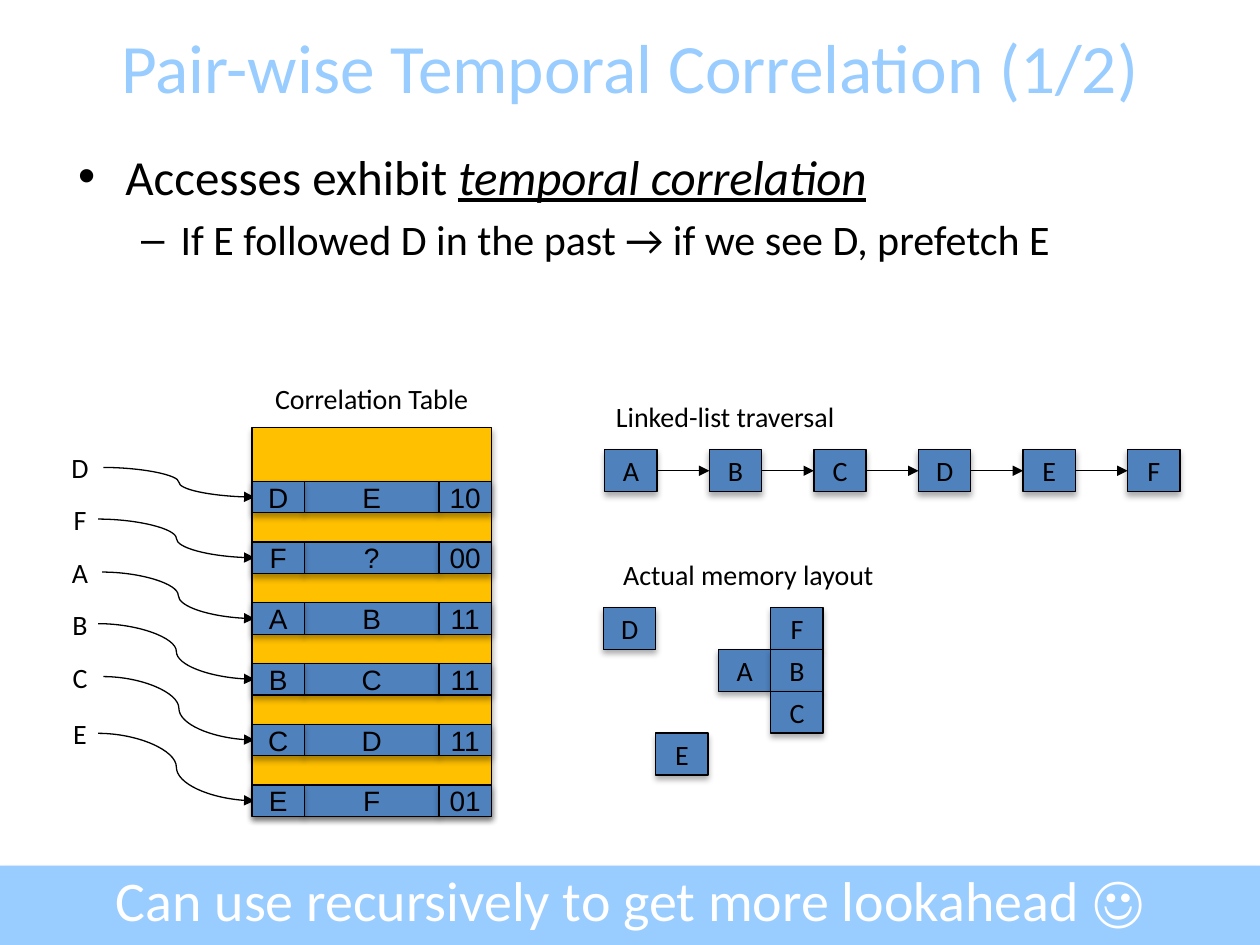
import lxml.etree
import pptx
import pptx.dml.color
import pptx.enum.shapes
import pptx.enum.text
import pptx.oxml
import pptx.oxml.ns
import pptx.util

Inches, Pt = pptx.util.Inches, pptx.util.Pt
RGB = pptx.dml.color.RGBColor.from_string
SHAPE = pptx.enum.shapes.MSO_SHAPE
LINK = pptx.enum.shapes.MSO_CONNECTOR
ANCHOR = pptx.enum.text.MSO_ANCHOR
AUTO = pptx.enum.text.MSO_AUTO_SIZE
ALIGN = pptx.enum.text.PP_ALIGN
qn = pptx.oxml.ns.qn

THEME = {
    "accent": RGB("99CCFF"), "ink": RGB("000000"), "paper": RGB("FFFFFF"),
    "cell": RGB("4F81BD"), "table": RGB("FFC000"), "line": Pt(0.75),
    "title": {"name": "Calibri", "size": Pt(39.6)},
    "point": {"name": "Calibri", "size": Pt(28)},
    "subpoint": {"name": "Calibri", "size": Pt(24)},
    "label": {"name": "Calibri", "size": Pt(16)},
    "entry": {"name": "Arial", "size": Pt(16)},
    "banner": {"name": "Calibri", "size": Pt(32)},
}
SHADOW = ('<a:outerShdw xmlns:a="http://schemas.openxmlformats.org/drawingml/2006/main" '
          'blurRad="44450" dist="27940" dir="5400000" rotWithShape="0">'
          '<a:srgbClr val="000000"><a:alpha val="32000"/></a:srgbClr></a:outerShdw>')

prs = pptx.Presentation()
prs.slide_width, prs.slide_height = Inches(10), Inches(7.5)
s = prs.slides.add_slide(prs.slide_layouts[1])


def put(x, y, w, h, text="", style="label", fill=None, color="ink", align=ALIGN.CENTER, outline=True):
    """Add a filled, shadowed box, or a plain text box when there is no fill."""
    at = [Inches(v) for v in (x, y, w, h)]
    if fill:
        sp = s.shapes.add_shape(SHAPE.RECTANGLE, *at)
        sp.fill.solid()
        sp.fill.fore_color.rgb = THEME[fill]
        if outline:
            sp.line.color.rgb, sp.line.width = THEME["ink"], THEME["line"]
        else:
            sp.line.fill.background()
        sp.shadow.inherit = False
        effects = sp._element.spPr.find(qn("a:effectLst"))
        effects.append(pptx.oxml.parse_xml(SHADOW))
    else:
        sp = s.shapes.add_textbox(*at)
        sp.text_frame.auto_size = AUTO.SHAPE_TO_FIT_TEXT
    if text:
        tf = sp.text_frame
        tf.word_wrap = False
        tf.vertical_anchor = ANCHOR.MIDDLE if fill else ANCHOR.TOP
        p = tf.paragraphs[0]
        p.alignment = align
        r = p.add_run()
        r.text = text
        r.font.color.rgb = THEME[color]
        for key, value in THEME[style].items():
            setattr(r.font, key, value)
    return sp


def arrow(kind, x1, y1, x2, y2):
    c = s.shapes.add_connector(kind, *[Inches(v) for v in (x1, y1, x2, y2)])
    c.line.color.rgb, c.line.width = THEME["ink"], THEME["line"]
    lxml.etree.SubElement(c.line._get_or_add_ln(), qn("a:tailEnd"), type="triangle")
    lxml.etree.SubElement(c._element.spPr, qn("a:effectLst"))
    return c


# Title and list
title, body = s.placeholders[0], s.placeholders[1]
for sp, at in ((title, (0, 0.21, 10, 0.63)), (body, (0.52, 1.11, 9, 5.56))):
    sp.left, sp.top, sp.width, sp.height = [Inches(v) for v in at]
title.text_frame.vertical_anchor = ANCHOR.MIDDLE
title.text_frame.auto_size = body.text_frame.auto_size = AUTO.NONE

paragraphs = [
    (title, 0, "title", "accent", [("Pair-wise Temporal Correlation (1/2)", {})]),
    (body, 0, "point", "ink", [("Accesses exhibit ", {}),
                               ("temporal correlation", {"italic": True, "underline": True})]),
    (body, 1, "subpoint", "ink", [("If E followed D in the past → if we see D, prefetch E", {})]),
]
for sp, level, style, color, runs in paragraphs:
    tf = sp.text_frame
    p = tf.add_paragraph() if level else tf.paragraphs[0]
    p.level = level
    for text, extra in runs:
        r = p.add_run()
        r.text = text
        r.font.color.rgb = THEME[color]
        for key, value in {**THEME[style], **extra}.items():
            setattr(r.font, key, value)

# Banner
put(0, 6.87, 10, 0.63, fill="accent", outline=False)
put(0, 6.82, 10, 0.63, "Can use recursively to get more lookahead ☺", "banner", color="paper")

# Correlation table: each access points at its row of key, successor, counter
COL, TABLE_X, TABLE_W = 0.415, 2, 1.9
ROW_Y, ROW_STEP, ROW_H = 3.82, 0.482, 0.25
put(TABLE_X, 3.39, TABLE_W, 3.08, fill="table")
put(TABLE_X, 2.98, TABLE_W, 0.37, "Correlation Table")
rows = [  # key, successor, counter, label top, arrow start
    ("D", "E", "10", 3.53, 0.82), ("F", "?", "00", 3.94, 0.78),
    ("A", "B", "11", 4.36, 0.81), ("B", "C", "11", 4.77, 0.78),
    ("C", "D", "11", 5.19, 0.82), ("E", "F", "01", 5.64, 0.78),
]
for i, (key, successor, counter, label_y, start) in enumerate(rows):
    y = ROW_Y + i * ROW_STEP
    put(0.46, label_y, 0.35, 0.37, key)
    put(TABLE_X + COL, y, TABLE_W - 2 * COL, ROW_H, successor, "entry", "cell")
    arrow(LINK.CURVE, start, label_y + 0.18, TABLE_X + 0.02, y + ROW_H / 2)
    put(TABLE_X + TABLE_W - COL, y, COL, ROW_H, counter, "entry", "cell")
    put(TABLE_X, y, COL, ROW_H, key, "entry", "cell")

# Linked list: nodes two columns apart
NODE_H, LIST_X = 0.333, 4.79
put(LIST_X, 3.12, 1.96, 0.37, "Linked-list traversal", align=ALIGN.LEFT)
nodes = [put(LIST_X + 0.01 + 2 * i * COL, 3.57, COL, NODE_H, name, fill="cell")
         for i, name in enumerate("ABCDEF")]
for a, b in zip(nodes, nodes[1:]):
    c = arrow(LINK.STRAIGHT, 0, 0, 0, 0)
    c.begin_connect(a, 3)
    c.end_connect(b, 1)

# Memory layout: column and row of each node
put(LIST_X, 4.38, 2.3, 0.37, "Actual memory layout")
places = {"F": (3.2, 0), "A": (2.2, 1), "B": (3.2, 1), "C": (3.2, 2), "D": (0, 0), "E": (1, 3)}
for name, (col, row) in places.items():
    put(LIST_X + col * COL, 4.82 + row * NODE_H, COL, NODE_H, name, fill="cell")

prs.save("out.pptx")
